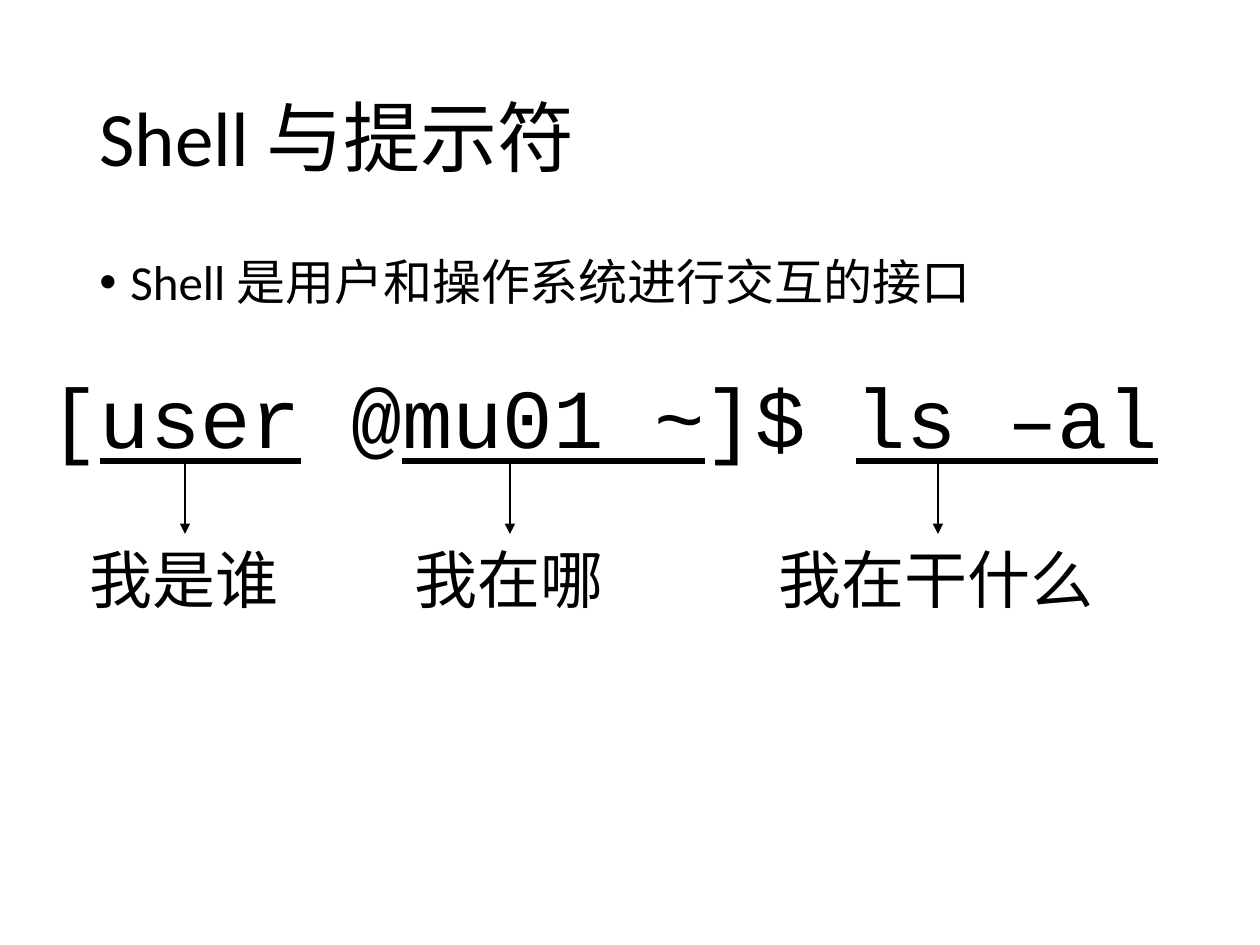
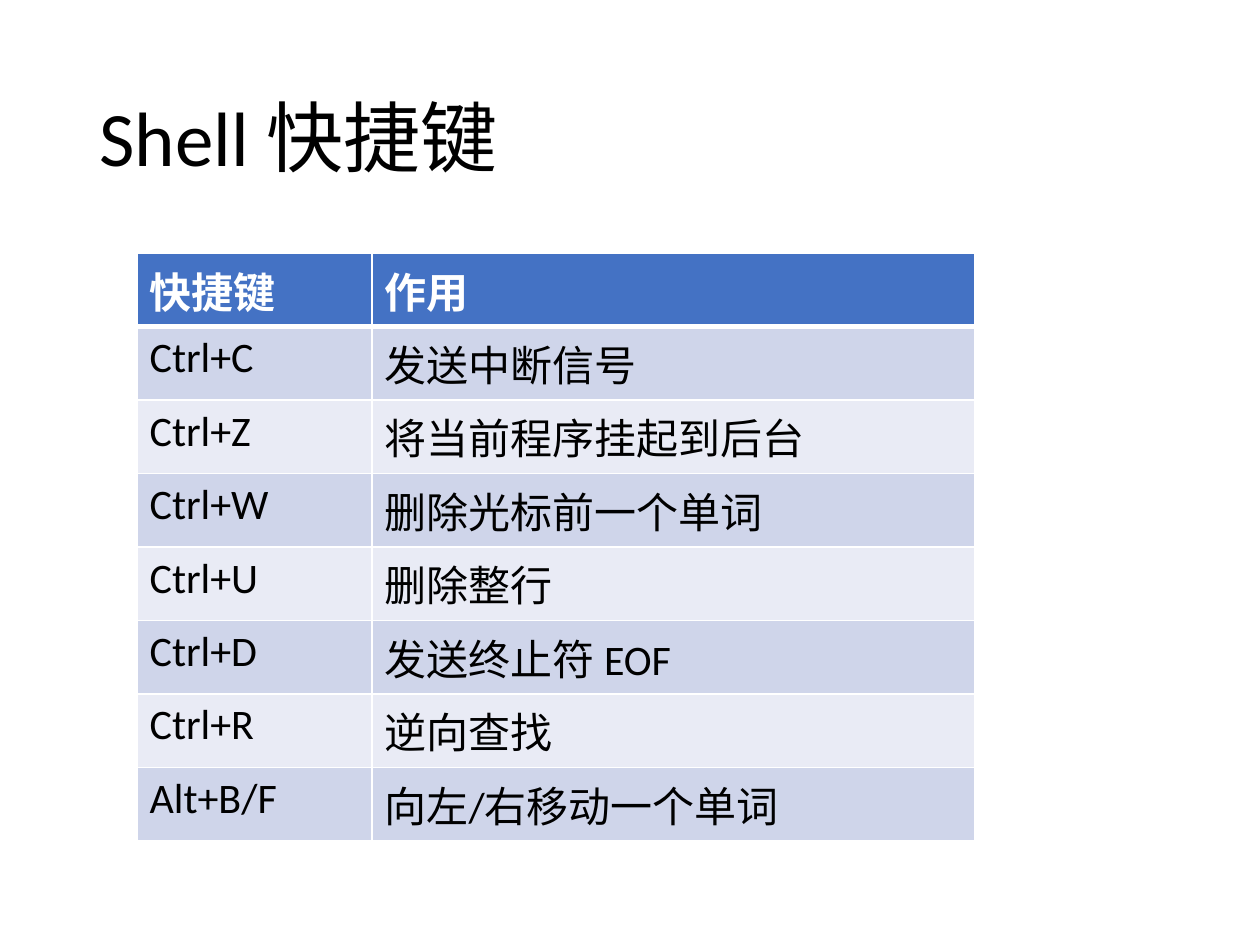
from lxml import etree
from pptx import Presentation
from pptx.dml.color import RGBColor
from pptx.enum.shapes import MSO_CONNECTOR as Connector
from pptx.enum.text import MSO_ANCHOR as Anchor
from pptx.oxml.ns import qn
from pptx.util import Pt

EMU_PER_PX = 914400 / 126
BLACK, WHITE = "000000", "FFFFFF"
HEADER_FILL, BAND_FILLS = "4472C4", ("CFD5EA", "E9EBF5")
BODY_FONT, CODE_FONT = "Calibri", "Courier New"
TITLE_FORMAT = {"name": BODY_FONT, "size": Pt(44)}
BULLET_FORMAT = {"name": BODY_FONT, "size": Pt(28)}
PROMPT_FORMAT = {"name": CODE_FONT, "size": Pt(48)}
LABEL_FORMAT = {"name": BODY_FONT, "size": Pt(36)}
CELL_FORMAT = {"name": BODY_FONT, "size": Pt(24)}


def px(*lengths):
    return [round(length * EMU_PER_PX) for length in lengths]


def write(para, pieces, font_format, color=BLACK):
    for text, extra in pieces:
        span = para.add_run()
        span.text = text
        for name, value in {**font_format, **extra}.items():
            setattr(span.font, name, value)
        span.font.color.rgb = RGBColor.from_string(color)


deck = Presentation()
deck.slide_width, deck.slide_height = px(1260, 945)
pages = []
for title in ("Shell 与提示符", "Shell 快捷键"):
    page = deck.slides.add_slide(deck.slide_layouts[6])
    frame = page.shapes.add_textbox(*px(87, 50, 1086, 183)).text_frame
    frame.word_wrap = True
    frame.vertical_anchor = Anchor.MIDDLE
    frame.paragraphs[0].line_spacing = 0.9
    write(frame.paragraphs[0], [(title, {})], TITLE_FORMAT)
    pages.append(page)
prompt_page, shortcut_page = pages

frame = prompt_page.shapes.add_textbox(*px(87, 252, 1086, 600)).text_frame
frame.word_wrap = True
para = frame.paragraphs[0]
para.line_spacing = 0.9
properties = para._p.get_or_add_pPr()
indent = px(31)[0]
properties.set("marL", str(indent))
properties.set("indent", str(-indent))
etree.SubElement(properties, qn("a:buFont"), typeface="Arial")
etree.SubElement(properties, qn("a:buChar"), char="•")
write(para, [("Shell 是用户和操作系统进行交互的接口", {})], BULLET_FORMAT)

prompt = [("[", False), ("user", True), (" @", False), ("mu01 ~", True), ("]$ ", False), ("ls –al", True)]
frame = prompt_page.shapes.add_textbox(*px(37, 358, 1220, 115)).text_frame
frame.word_wrap = True
write(frame.paragraphs[0], [(text, {"underline": lined}) for text, lined in prompt], PROMPT_FORMAT)

for label, left, width, arrow_x in (
    ("我是谁", 77, 217, 185),
    ("我在哪", 402, 217, 510),
    ("我在干什么", 766, 344, 938),
):
    frame = prompt_page.shapes.add_textbox(*px(left, 534, width, 89)).text_frame
    frame.word_wrap = False
    write(frame.paragraphs[0], [(label, {})], LABEL_FORMAT)
    arrow = prompt_page.shapes.add_connector(Connector.STRAIGHT, *px(arrow_x, 461, arrow_x, 534))
    arrow.line.width = Pt(1.5)
    arrow.line.color.rgb = RGBColor.from_string(BLACK)
    etree.SubElement(arrow.line._get_or_add_ln(), qn("a:tailEnd"), type="triangle")
    etree.SubElement(arrow._element.spPr, qn("a:effectLst"))

shortcuts = [
    ("快捷键", "作用"),
    ("Ctrl+C", "发送中断信号"),
    ("Ctrl+Z", "将当前程序挂起到后台"),
    ("Ctrl+W", "删除光标前一个单词"),
    ("Ctrl+U", "删除整行"),
    ("Ctrl+D", "发送终止符 EOF"),
    ("Ctrl+R", "逆向查找"),
    ("Alt+B/F", "向左/右移动一个单词"),
]
table = shortcut_page.shapes.add_table(len(shortcuts), 2, *px(137, 253, 838, 588)).table
for column, width in zip(table.columns, px(235, 603)):
    column.width = width
for row_index, texts in enumerate(shortcuts):
    is_header = row_index == 0
    fill = HEADER_FILL if is_header else BAND_FILLS[(row_index - 1) % 2]
    edges = {"L": 1, "R": 1, "T": 3 if row_index == 1 else 1, "B": 3 if is_header else 1}
    for column_index, text in enumerate(texts):
        cell = table.cell(row_index, column_index)
        for edge, points in edges.items():
            line = etree.SubElement(cell._tc.get_or_add_tcPr(), qn(f"a:ln{edge}"), w=str(Pt(points)))
            solid = etree.SubElement(line, qn("a:solidFill"))
            etree.SubElement(solid, qn("a:srgbClr"), val=WHITE)
        cell.fill.solid()
        cell.fill.fore_color.rgb = RGBColor.from_string(fill)
        color = WHITE if is_header else BLACK
        write(cell.text_frame.paragraphs[0], [(text, {"bold": is_header})], CELL_FORMAT, color)

deck.save("out.pptx")
